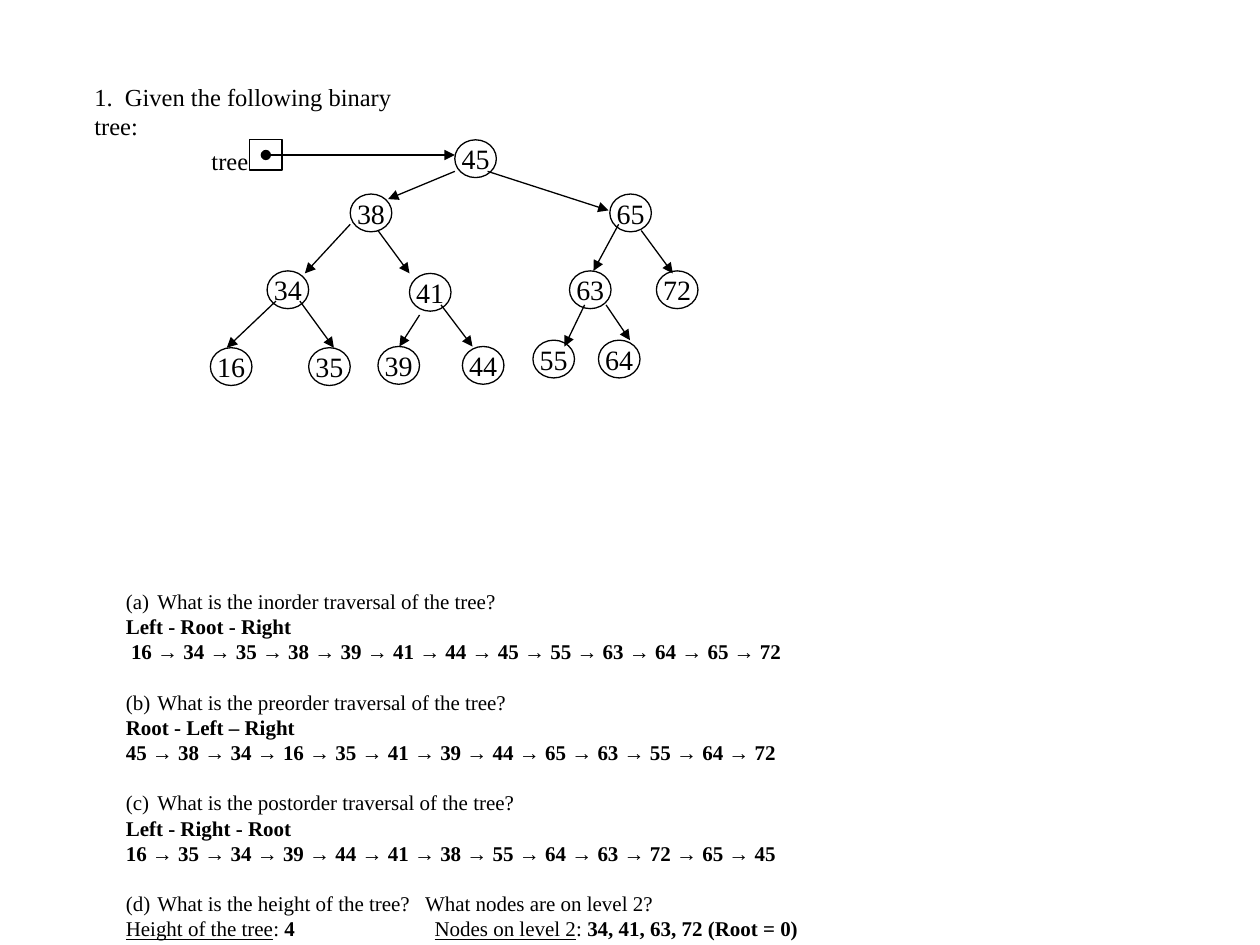
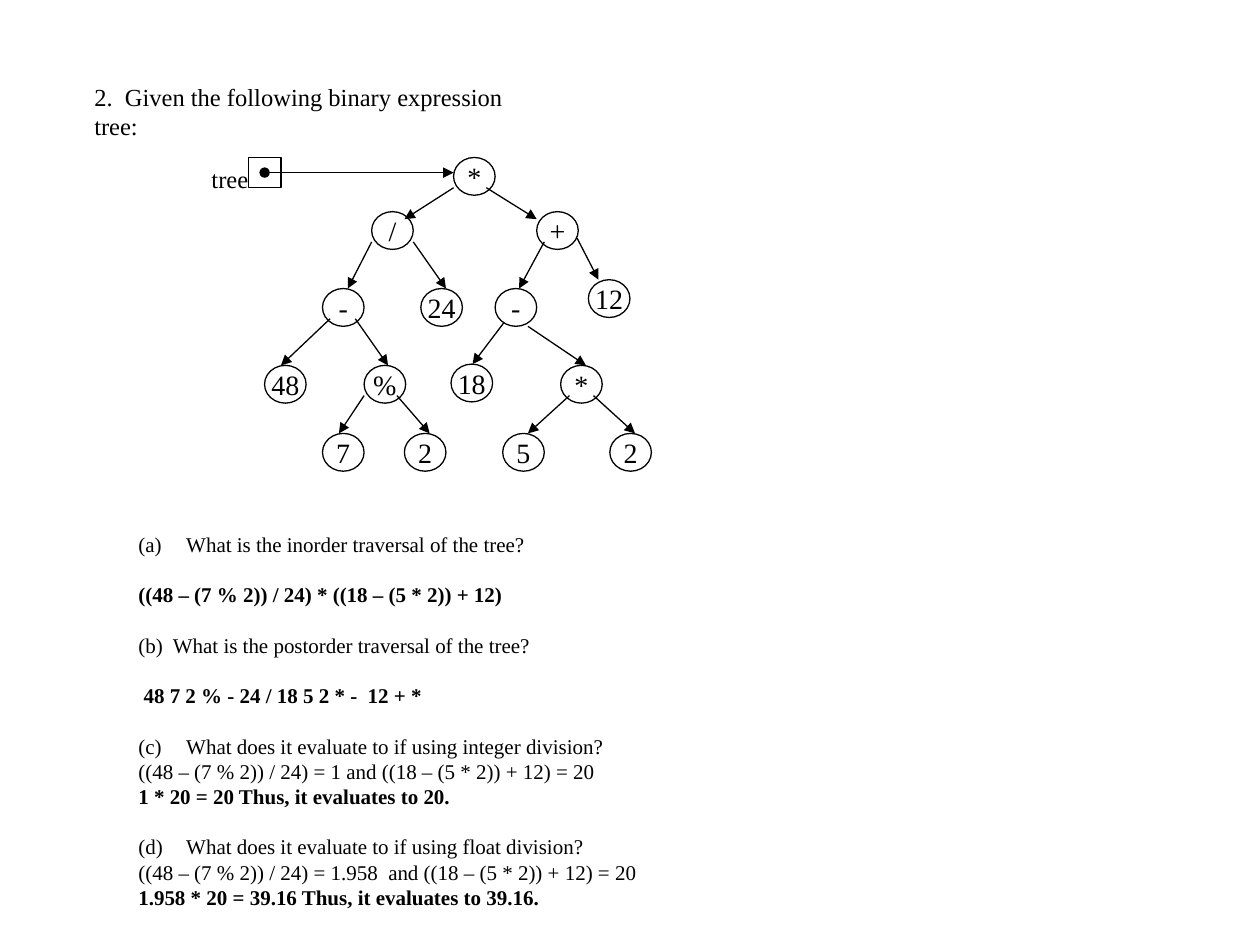
"""Two review slides: a binary search tree and a binary expression tree."""
from lxml import etree
from pptx import Presentation
from pptx.dml.color import RGBColor
from pptx.enum.shapes import MSO_CONNECTOR, MSO_SHAPE
from pptx.enum.text import MSO_ANCHOR, PP_ALIGN
from pptx.oxml.ns import qn
from pptx.util import Inches, Pt

OVAL, RECT = MSO_SHAPE.OVAL, MSO_SHAPE.RECTANGLE
STRAIGHT = MSO_CONNECTOR.STRAIGHT
MIDDLE, CENTER = MSO_ANCHOR.MIDDLE, PP_ALIGN.CENTER
INK = RGBColor(0, 0, 0)
FONT = "Times New Roman"
NODE_W, NODE_H = 0.33, 0.3
BOX_W, BOX_H = 0.26, 0.24
LINE = 0.75
GAP = 14.4
TAB = 2.45


def chain(keys):
    return " → ".join(keys.split())


# Node: label, left, top, incoming arrow (from x, from y, to x, to y)
# Line: number in the list or None, gap above, runs of (text, style)
SLIDES = [
    dict(
        title="1.  Given the following binary tree:", width=2.95,
        nodes=[
            ("45", 3.61, 1.11, (2.11, 1.23, 3.61, 1.23)),
            ("38", 2.78, 1.54, (3.61, 1.36, 3.08, 1.58)),
            ("65", 4.84, 1.54, (3.87, 1.36, 4.83, 1.67)),
            ("34", 2.12, 2.15, (2.78, 1.78, 2.42, 2.17)),
            ("41", 3.25, 2.17, (3, 1.83, 3.25, 2.17)),
            ("63", 4.52, 2.15, (4.91, 1.78, 4.71, 2.15)),
            ("72", 5.21, 2.15, (5.09, 1.83, 5.34, 2.17)),
            ("16", 1.67, 2.76, (2.19, 2.39, 1.8, 2.76)),
            ("35", 2.45, 2.76, (2.38, 2.39, 2.65, 2.76)),
            ("39", 3, 2.75, (3.33, 2.5, 3.17, 2.75)),
            ("44", 3.67, 2.75, (3.5, 2.42, 3.75, 2.75)),
            ("55", 4.23, 2.7, (4.64, 2.42, 4.48, 2.75)),
            ("64", 4.75, 2.7, (4.81, 2.42, 5, 2.7)),
        ],
        area=(0.9, 4.62, 6.68, 3.13), indent=0.25,
        lines=[
            (1, 0, [("What is the inorder traversal of the tree?", "")]),
            (None, 0, [("Left - Root - Right", "b")]),
            (None, 0, [(" " + chain("16 34 35 38 39 41 44 45 55 63 64 65 72"), "b")]),
            (2, 1, [("What is the preorder traversal of the tree?", "")]),
            (None, 0, [("Root - Left – Right", "b")]),
            (None, 0, [(chain("45 38 34 16 35 41 39 44 65 63 55 64 72"), "b")]),
            (3, 1, [("What is the postorder traversal of the tree?", "")]),
            (None, 0, [("Left - Right - Root", "b")]),
            (None, 0, [(chain("16 35 34 39 44 41 38 55 64 63 72 65 45"), "b")]),
            (4, 1, [("What is the height of the tree?   What nodes are on level 2?", "")]),
            (None, 0, [("Height of the tree", "u"), (":", ""), (" 4\t", "b"),
                       ("Nodes on level 2", "u"), (": ", ""),
                       ("34, 41, 63, 72 (Root = 0)", "b")]),
        ]),
    dict(
        title="2.  Given the following binary expression tree:", width=3.8,
        nodes=[
            ("*", 3.6, 1.25, (2.1, 1.37, 3.6, 1.37)),
            ("/", 2.95, 1.68, (3.6, 1.49, 3.21, 1.74)),
            ("+", 4.26, 1.68, (3.86, 1.49, 4.26, 1.74)),
            ("-", 2.56, 2.29, (2.95, 1.92, 2.76, 2.29)),
            ("24", 3.34, 2.29, (3.28, 1.92, 3.54, 2.29)),
            ("-", 3.93, 2.29, (4.32, 1.92, 4.12, 2.29)),
            ("12", 4.67, 2.22, (4.58, 1.89, 4.75, 2.22)),
            ("48", 2.1, 2.9, (2.62, 2.53, 2.23, 2.9)),
            ("%", 2.89, 2.9, (2.82, 2.53, 3.08, 2.9)),
            ("18", 3.58, 2.89, (4, 2.56, 3.75, 2.89)),
            ("*", 4.45, 2.9, (4.19, 2.59, 4.65, 2.9)),
            ("7", 2.56, 3.44, (2.89, 3.14, 2.69, 3.44)),
            ("2", 3.21, 3.44, (3.15, 3.14, 3.41, 3.44)),
            ("5", 3.99, 3.44, (4.52, 3.14, 4.19, 3.44)),
            ("2", 4.84, 3.44, (4.71, 3.14, 5.04, 3.44)),
        ],
        area=(1, 4.17, 4.83, 3.53), indent=0.38,
        lines=[
            (1, 0, [("What is the inorder traversal of the tree?", "")]),
            (None, 1, [("((48 – (7 % 2)) / 24) * ((18 – (5 * 2)) + 12)", "b")]),
            (None, 1, [("(b)  What is the postorder traversal of the tree?", "")]),
            (None, 1, [(" ", ""), ("48 7 2 % - 24 / 18 5 2 * -  12 + *", "b")]),
            (3, 1, [("What does it evaluate to if using integer division?", "")]),
            (None, 0, [("((48 – (7 % 2)) / 24) = 1 and ((18 – (5 * 2)) + 12) = 20", "")]),
            (None, 0, [("1 * 20 = 20 Thus, it evaluates to 20.", "b")]),
            (4, 1, [("What does it evaluate to if using float division?", "")]),
            (None, 0, [("((48 – (7 % 2)) / 24) = 1.958  and ((18 – (5 * 2)) + 12) = 20", "")]),
            (None, 0, [("1.958 * 20 = 39.16 Thus, it evaluates to 39.16.", "b")]),
        ]),
]


def add_run(para, text, size, style=""):
    run = para.add_run()
    run.text = text
    font = run.font
    font.name, font.size = FONT, Pt(size)
    font.color.rgb = INK
    font.bold = style == "b"
    font.underline = style == "u"


def add_text(slide, area, wrap=True):
    frame = slide.shapes.add_textbox(*map(Inches, area)).text_frame
    frame.word_wrap = wrap
    return frame


def add_shape(slide, kind, *area):
    shape = slide.shapes.add_shape(kind, *map(Inches, area))
    shape.shadow.inherit = False
    shape.fill.background()
    shape.line.color.rgb = INK
    shape.line.width = Pt(LINE)
    return shape


def add_node(slide, label, left, top):
    frame = add_shape(slide, OVAL, left, top, NODE_W, NODE_H).text_frame
    frame.word_wrap = False
    frame.vertical_anchor = MIDDLE
    para = frame.paragraphs[0]
    para.alignment = CENTER
    add_run(para, label, 16)


def add_arrow(slide, ends, dot):
    arrow = slide.shapes.add_connector(STRAIGHT, *map(Inches, ends))
    arrow.line.color.rgb = INK
    arrow.line.width = Pt(LINE)
    line = arrow.line._get_or_add_ln()
    if dot:
        etree.SubElement(line, qn("a:headEnd"), type="oval")
    etree.SubElement(line, qn("a:tailEnd"), type="triangle")
    etree.SubElement(arrow._element.spPr, qn("a:effectLst"))


def add_tree(slide, nodes):
    for label, left, top, ends in nodes:
        add_node(slide, label, left, top)
    for i, node in enumerate(nodes):
        add_arrow(slide, node[3], dot=i == 0)
    x, y = nodes[0][3][:2]
    top = nodes[0][2]
    add_shape(slide, RECT, x - BOX_W / 2, y - BOX_H / 2, BOX_W, BOX_H)
    frame = add_text(slide, (1.58, top, 0.49, 0.33), wrap=False)
    add_run(frame.paragraphs[0], "tree", 14)


def add_lines(slide, area, indent, lines):
    frame = add_text(slide, area)
    for i, (mark, gap, runs) in enumerate(lines):
        para = frame.add_paragraph() if i else frame.paragraphs[0]
        para.space_before = Pt(GAP * gap)
        props = para._p.get_or_add_pPr()
        if mark:
            props.set("marL", str(Inches(indent)))
            props.set("indent", str(-Inches(indent)))
            etree.SubElement(props, qn("a:buAutoNum"),
                             type="alphaLcParenBoth", startAt=str(mark))
        if any("\t" in text for text, _ in runs):
            tabs = etree.SubElement(props, qn("a:tabLst"))
            etree.SubElement(tabs, qn("a:tab"), pos=str(Inches(TAB)), algn="l")
        for text, style in runs:
            add_run(para, text, 12, style)


deck = Presentation()
deck.slide_width, deck.slide_height = Inches(10), Inches(7.5)
for page in SLIDES:
    slide = deck.slides.add_slide(deck.slide_layouts[6])
    title = add_text(slide, (0.65, 0.6, page["width"], 0.33))
    add_run(title.paragraphs[0], page["title"], 14)
    add_lines(slide, page["area"], page["indent"], page["lines"])
    add_tree(slide, page["nodes"])
deck.save("out.pptx")
